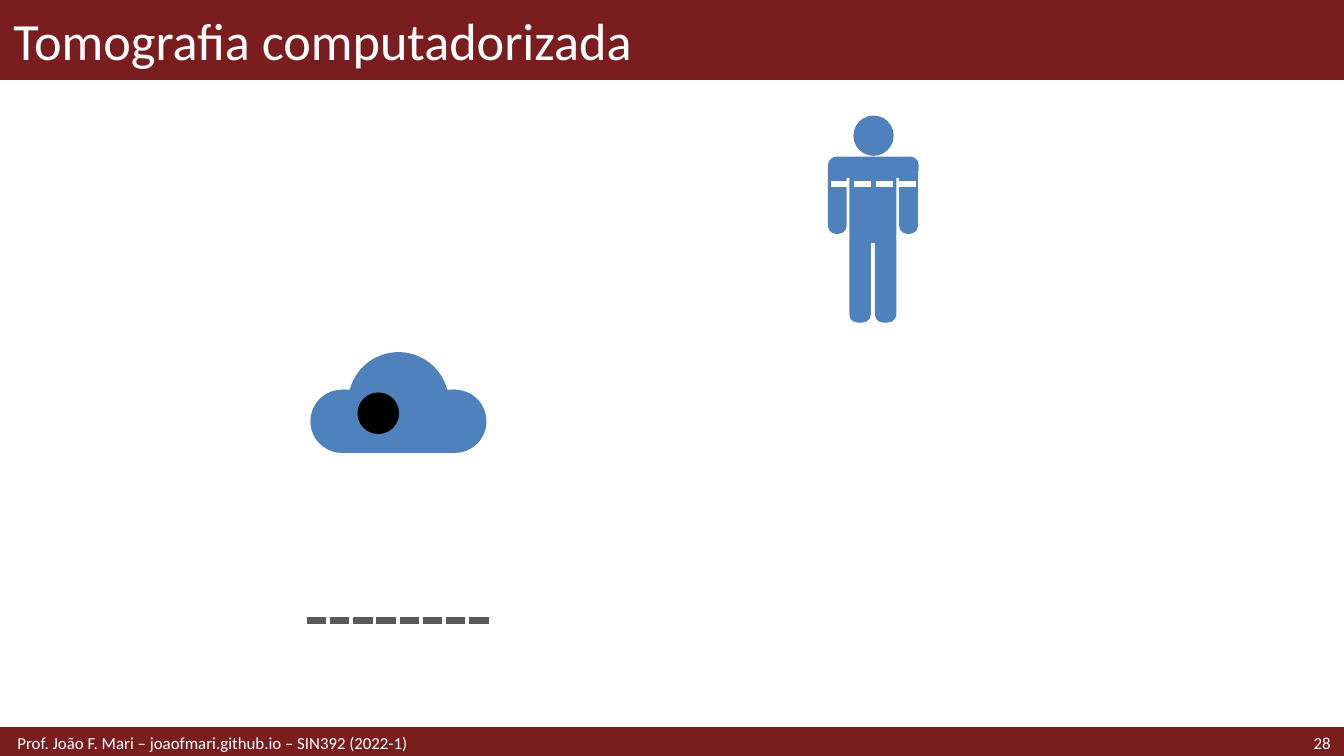
import pptx
import pptx.util
import pptx.dml.color
import pptx.enum.dml
import pptx.enum.shapes
import pptx.enum.text
import pptx.oxml

Inches = pptx.util.Inches
Pt = pptx.util.Pt
RGBColor = pptx.dml.color.RGBColor
Shape = pptx.enum.shapes.MSO_SHAPE
Align = pptx.enum.text.PP_ALIGN

colors = {
    "band": "791D1F",
    "white": "FFFFFF",
    "body": "4F81BD",
    "detector": "595959",
    "spot": "000000",
}


def add_filled(shapes, kind, box, color, line_color=None, line_width=2):
    shape = shapes.add_shape(kind, *[Inches(value) for value in box])
    shape.shadow.inherit = False
    shape.fill.solid()
    shape.fill.fore_color.rgb = RGBColor.from_string(colors[color])
    if line_color:
        shape.line.color.rgb = RGBColor.from_string(colors[line_color])
        shape.line.width = Pt(line_width)
    else:
        shape.line.fill.background()
    return shape


def format_text(shape, text, size, alignment):
    frame = shape.text_frame
    frame.word_wrap = True
    frame.vertical_anchor = pptx.enum.text.MSO_ANCHOR.MIDDLE
    frame.margin_top = frame.margin_bottom = 0
    paragraph = frame.paragraphs[0]
    paragraph.text = text
    paragraph.alignment = alignment
    paragraph.font.size = Pt(size)
    paragraph.font.name = "Calibri"
    paragraph.font.color.rgb = RGBColor.from_string(colors["white"])


presentation = pptx.Presentation()
presentation.slide_width = Inches(10)
presentation.slide_height = Inches(10) * 9 // 16
slide = presentation.slides.add_slide(presentation.slide_layouts[5])

add_filled(slide.shapes, Shape.RECTANGLE, (0, 0, 10, 0.59), "band", "band", 1)
add_filled(slide.shapes, Shape.RECTANGLE, (0, 5.42, 10, 0.21), "band", "band")

title = slide.shapes.title
title.left, title.top = Inches(0), Inches(0)
title.width, title.height = Inches(10), Inches(0.59)
format_text(title, "Tomografia computadorizada", 28, Align.LEFT)
title.element.getparent().append(title.element)

number = slide.shapes.add_textbox(Inches(8.86), Inches(5.42), Inches(1.14), Inches(0.21))
format_text(number, "28", 9, Align.RIGHT)
footer = slide.shapes.add_textbox(Inches(0), Inches(5.42), Inches(6.89), Inches(0.21))
format_text(footer, "Prof. João F. Mari – joaofmari.github.io – SIN392 (2022-1)", 9, Align.LEFT)
footer.text_frame.margin_left = Inches(0.13)

detector = slide.shapes.add_group_shape()
cell_count = 8
cell_width = 1.38 / cell_count
for index in range(cell_count):
    cell_box = (2.27 + index * cell_width, 4.58, cell_width, 0.08)
    add_filled(detector.shapes, Shape.RECTANGLE, cell_box, "detector", "white")

cloud = slide.shapes.add_group_shape()
for kind, box, color in [
    (Shape.OVAL, (2.59, 2.62, 0.75, 0.75), "body"),
    (Shape.OVAL, (3.15, 2.9, 0.47, 0.47), "body"),
    (Shape.RECTANGLE, (2.54, 2.9, 0.85, 0.47), "body"),
    (Shape.OVAL, (2.31, 2.9, 0.47, 0.47), "body"),
    (Shape.OVAL, (2.66, 2.92, 0.31, 0.31), "spot"),
]:
    add_filled(cloud.shapes, kind, box, color)

person = slide.shapes.add_group_shape()
for box, rounding, rotation in [
    ((6.16, 1.17, 0.14, 0.57), 0.43, 0),
    ((6.42, 0.91, 0.16, 0.67), 0.39, 90),
    ((6.69, 1.17, 0.14, 0.57), 0.43, 0),
    ((6.32, 1.17, 0.35, 0.64), 0.17, 0),
    ((6.32, 1.71, 0.16, 0.69), 0.38, 0),
    ((6.51, 1.71, 0.16, 0.69), 0.38, 0),
]:
    limb = add_filled(person.shapes, Shape.ROUNDED_RECTANGLE, box, "body")
    limb.adjustments[0] = rounding
    limb.rotation = rotation
add_filled(person.shapes, Shape.OVAL, (6.35, 0.86, 0.3, 0.3), "body")

section_line = person.shapes.add_connector(
    pptx.enum.shapes.MSO_CONNECTOR.STRAIGHT,
    Inches(6.02), Inches(1.37), Inches(6.97), Inches(1.37),
)
section_line.line.color.rgb = RGBColor.from_string(colors["white"])
section_line.line.width = Pt(3)
section_line.line.dash_style = pptx.enum.dml.MSO_LINE.SQUARE_DOT
section_line.element.spPr.append(pptx.oxml.parse_xml(
    '<a:effectLst xmlns:a="http://schemas.openxmlformats.org/drawingml/2006/main"/>'
))

presentation.save("out.pptx")
